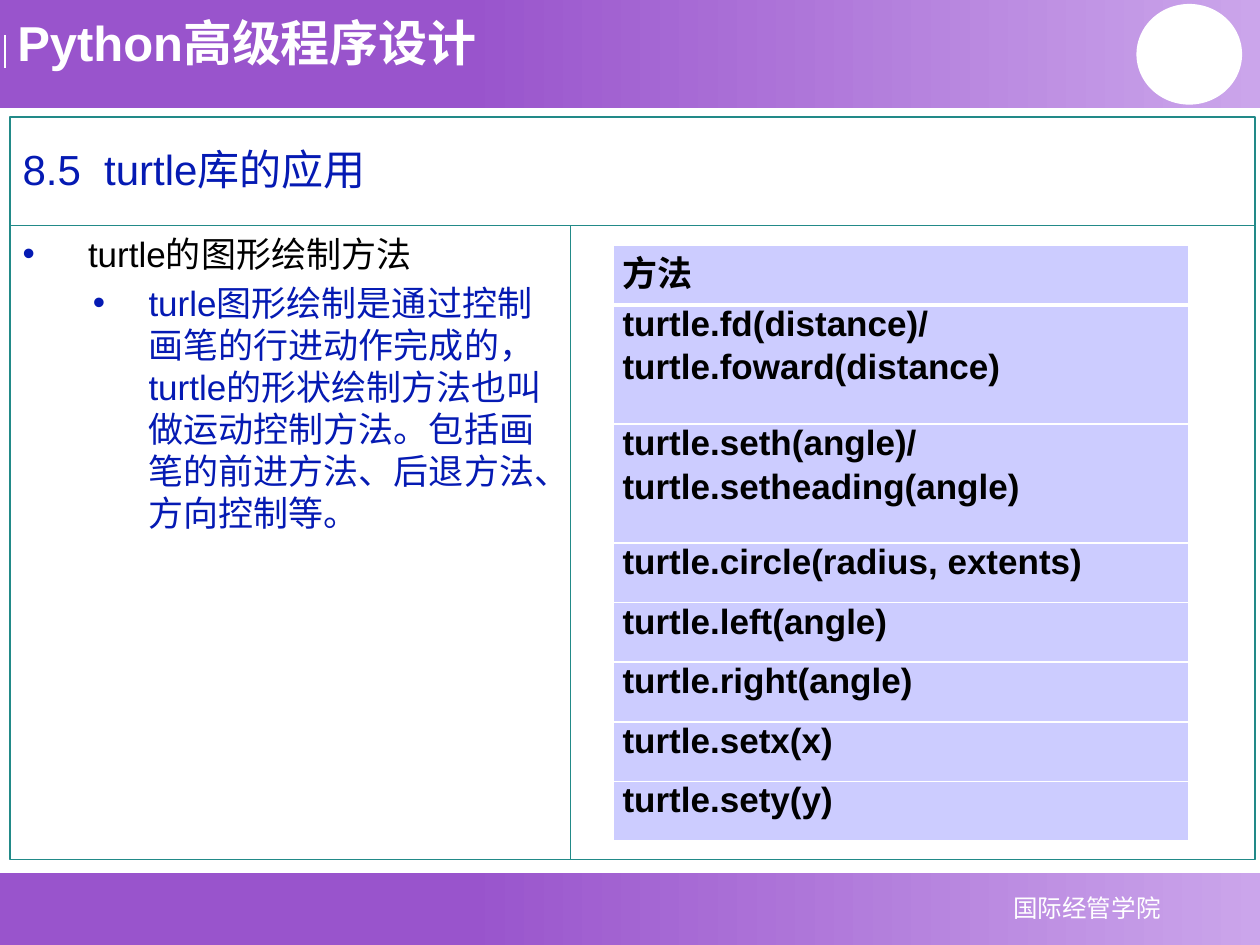
from lxml import etree
from pptx import Presentation
from pptx.dml.color import RGBColor
from pptx.enum.shapes import MSO_CONNECTOR, MSO_SHAPE
from pptx.enum.text import MSO_ANCHOR, MSO_AUTO_SIZE, PP_ALIGN
from pptx.oxml.ns import qn
from pptx.util import Cm, Pt

RECTANGLE, OVAL = MSO_SHAPE.RECTANGLE, MSO_SHAPE.OVAL
STRAIGHT = MSO_CONNECTOR.STRAIGHT
TOP, MIDDLE = MSO_ANCHOR.TOP, MSO_ANCHOR.MIDDLE
LEFT, CENTER, JUSTIFY = PP_ALIGN.LEFT, PP_ALIGN.CENTER, PP_ALIGN.JUSTIFY
NO_AUTOFIT = MSO_AUTO_SIZE.NONE

PURPLE = RGBColor(0x99, 0x54, 0xCC)
LILAC = RGBColor(0xCB, 0xA5, 0xEB)
LAVENDER = RGBColor(0xCC, 0xCC, 0xFF)
TEAL = RGBColor(0x22, 0x8A, 0x88)
BLUE = RGBColor(0x05, 0x1A, 0xB3)
BLACK = RGBColor(0, 0, 0)
WHITE = RGBColor(0xFF, 0xFF, 0xFF)

FONT = "Arial"
SLIDE_WIDTH, SLIDE_HEIGHT = 25.4, 19.05
FRAME_LEFT, PANEL_TOP, PANEL_HEIGHT = 0.2, 4.55, 12.78
LIST_WIDTH, TABLE_PANEL_WIDTH = 11.3, 13.8
ROW_HEIGHT = 1.2

METHODS = [
    ["方法"],
    ["turtle.fd(distance)/", "turtle.foward(distance)"],
    ["turtle.seth(angle)/", "turtle.setheading(angle)"],
    ["turtle.circle(radius, extents)"],
    ["turtle.left(angle)"],
    ["turtle.right(angle)"],
    ["turtle.setx(x)"],
    ["turtle.sety(y)"],
]


def write(para, text, size=20, color=BLACK, bold=False, align=LEFT,
          before=0, after=0, line_spacing=1.0):
    para.alignment = align
    para.space_before, para.space_after = Pt(before), Pt(after)
    para.line_spacing = line_spacing
    span = para.add_run()
    span.text = text
    span.font.name = FONT
    span.font.size = Pt(size)
    span.font.bold = bold
    span.font.color.rgb = color


def set_bullet(para, margin, hanging, color):
    """Give the paragraph a round bullet and a hanging indent, in cm."""
    props = para._p.get_or_add_pPr()
    props.set("marL", str(Cm(margin)))
    props.set("indent", str(-Cm(hanging)))
    bullet_color = etree.SubElement(props, qn("a:buClr"))
    etree.SubElement(bullet_color, qn("a:srgbClr"), val=str(color))
    etree.SubElement(props, qn("a:buFont"), typeface=FONT)
    etree.SubElement(props, qn("a:buChar"), char="•")


def place(shape, left, top, width, height):
    shape.left, shape.top = Cm(left), Cm(top)
    shape.width, shape.height = Cm(width), Cm(height)


def outline(shape):
    shape.line.color.rgb = TEAL
    shape.line.width = Pt(0.75)


def add_plain_shape(page, kind, left, top, width, height):
    shape = page.shapes.add_shape(kind, Cm(left), Cm(top), Cm(width), Cm(height))
    shape.shadow.inherit = False
    shape.line.fill.background()
    return shape


def add_band(page, top, height):
    fill = add_plain_shape(page, RECTANGLE, 0, top, SLIDE_WIDTH, height).fill
    fill.gradient()
    fill.gradient_angle = 0
    for stop, position, color in zip(fill.gradient_stops, (0.37, 1), (PURPLE, LILAC)):
        stop.position = position
        stop.color.rgb = color


def add_tick(page, x, top, bottom):
    tick = page.shapes.add_connector(STRAIGHT, Cm(x), Cm(top), Cm(x), Cm(bottom))
    tick.line.color.rgb = WHITE
    tick.line.width = Pt(0.75)
    etree.SubElement(tick._element.spPr, qn("a:effectLst"))


def add_label(page, text, left, top, width, height, anchor=TOP, **text_format):
    box = page.shapes.add_textbox(Cm(left), Cm(top), Cm(width), Cm(height))
    frame = box.text_frame
    frame.word_wrap = True
    frame.vertical_anchor = anchor
    write(frame.paragraphs[0], text, color=WHITE, **text_format)


def fill_title(title):
    place(title, FRAME_LEFT, 2.36, LIST_WIDTH + TABLE_PANEL_WIDTH, 2.19)
    outline(title)
    frame = title.text_frame
    frame.auto_size = NO_AUTOFIT
    frame.vertical_anchor = MIDDLE
    write(frame.paragraphs[0], "8.5  turtle库的应用", size=24, color=BLUE,
          line_spacing=0.9)


def fill_list(body):
    place(body, FRAME_LEFT, PANEL_TOP, LIST_WIDTH, PANEL_HEIGHT)
    outline(body)
    frame = body.text_frame
    frame.auto_size = NO_AUTOFIT
    heading = frame.paragraphs[0]
    set_bullet(heading, 1.32, 1.32, BLUE)
    write(heading, "turtle的图形绘制方法", after=4)
    detail = frame.add_paragraph()
    detail.level = 1
    set_bullet(detail, 2.54, 1.12, BLUE)
    write(detail, "turle图形绘制是通过控制画笔的行进动作完成的，turtle的形状绘制方法"
          "也叫做运动控制方法。包括画笔的前进方法、后退方法、方向控制等。",
          color=BLUE, after=4)


def set_borders(cell, bottom):
    """Draw white borders, 1 pt wide but for the bottom one."""
    props = cell._tc.get_or_add_tcPr()
    widths = {"a:lnL": 1, "a:lnR": 1, "a:lnT": 1, "a:lnB": bottom}
    for index, (tag, width) in enumerate(widths.items()):
        line = etree.Element(qn(tag), w=str(Pt(width)))
        solid = etree.SubElement(line, qn("a:solidFill"))
        etree.SubElement(solid, qn("a:srgbClr"), val=str(WHITE))
        props.insert(index, line)


def add_method_table(page):
    table = page.shapes.add_table(len(METHODS), 1, Cm(12.37), Cm(4.95),
                                  Cm(11.6), Cm(10 * ROW_HEIGHT)).table
    for index, lines in enumerate(METHODS):
        table.rows[index].height = Cm(ROW_HEIGHT * len(lines))
        cell = table.cell(index, 0)
        cell.margin_left = cell.margin_right = Cm(0.18)
        cell.margin_top = cell.margin_bottom = 0
        cell.fill.solid()
        cell.fill.fore_color.rgb = LAVENDER
        set_borders(cell, bottom=3 if index == 0 else 1)
        frame = cell.text_frame
        for number, text in enumerate(lines):
            para = frame.add_paragraph() if number else frame.paragraphs[0]
            write(para, text, bold=True, align=JUSTIFY,
                  before=1.2 if number else 0, after=1.2)


def main():
    deck = Presentation()
    deck.slide_width, deck.slide_height = Cm(SLIDE_WIDTH), Cm(SLIDE_HEIGHT)
    page = deck.slides.add_slide(deck.slide_layouts[1])

    add_band(page, 17.6, 1.45)
    add_band(page, 0, 2.18)
    add_tick(page, 0.1, 0.71, 1.37)
    add_label(page, "国际经管学院", 18.97, 17.86, 5.89, 0.86, anchor=MIDDLE,
              size=14, align=CENTER)
    add_label(page, "Python高级程序设计", 0.1, 0.13, 10.41, 1.45, size=28, bold=True)
    badge = add_plain_shape(page, OVAL, 22.91, 0.08, 2.13, 2.03)
    badge.fill.solid()
    badge.fill.fore_color.rgb = WHITE

    fill_title(page.shapes.title)
    fill_list(page.placeholders[1])
    add_method_table(page)
    panel = add_plain_shape(page, RECTANGLE, FRAME_LEFT + LIST_WIDTH, PANEL_TOP,
                            TABLE_PANEL_WIDTH, PANEL_HEIGHT)
    panel.fill.background()
    outline(panel)

    deck.save("out.pptx")


if __name__ == "__main__":
    main()
